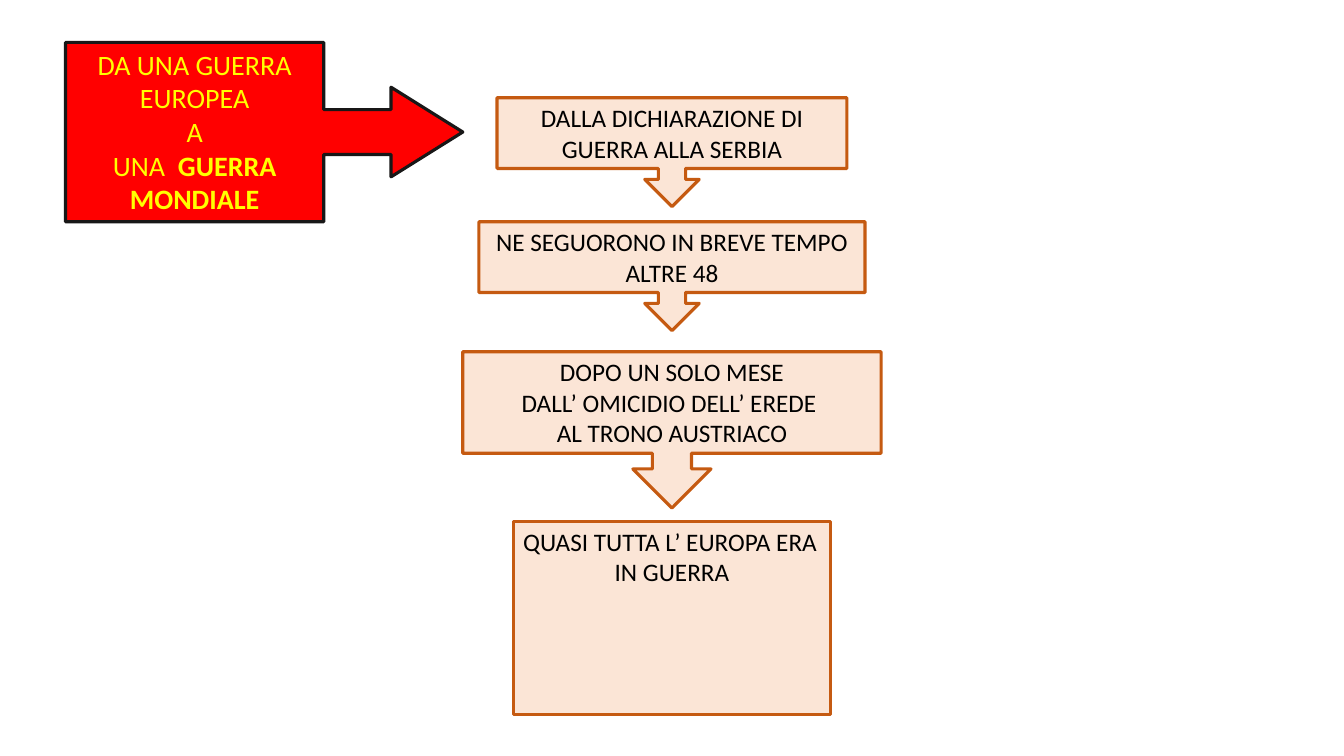
from dataclasses import dataclass

from pptx import Presentation
from pptx import util as u
from pptx.dml import color
from pptx.enum import shapes, text

COLOURS = {
    "peach": "FBE5D6",
    "rust": "C55A11",
    "black": "000000",
    "red": "FF0000",
    "charcoal": "181717",
    "yellow": "FFFF00",
}
SLIDE_WIDTH = u.Inches(13.33)
SLIDE_HEIGHT = u.Inches(7.5)
FONT = "Calibri"
CENTER = text.PP_ALIGN.CENTER
LEFT = text.PP_ALIGN.LEFT
DOWN = shapes.MSO_SHAPE.DOWN_ARROW_CALLOUT


@dataclass(frozen=True)
class Span:
    words: str
    bold: bool = False


@dataclass(frozen=True)
class Line:
    spans: tuple[Span, ...]
    align: text.PP_ALIGN = CENTER


@dataclass(frozen=True)
class Step:
    top: float
    width: float
    height: float
    lines: tuple[Line, ...]
    kind: shapes.MSO_SHAPE = DOWN
    wrap: bool = True

    @property
    def left(self) -> float:
        return (1 - self.width) / 2


def line(words: str, align: text.PP_ALIGN = CENTER) -> Line:
    return Line((Span(words),), align)


STEPS = (
    Step(0.1293, 0.2603, 0.144, (line("DALLA DICHIARAZIONE DI GUERRA ALLA SERBIA"),)),
    Step(0.2933, 0.2873, 0.144, (line("NE SEGUORONO IN BREVE TEMPO ALTRE 48"),)),
    Step(0.4653, 0.3113, 0.2067, (
        line("DOPO UN SOLO MESE"),
        line("DALL’ OMICIDIO DELL’ EREDE "),
        line("AL TRONO AUSTRIACO"),
    )),
    Step(0.6893, 0.2363, 0.256, (
        line("QUASI TUTTA L’ EUROPA ERA", LEFT),
        line("IN GUERRA"),
    ), shapes.MSO_SHAPE.RECTANGLE, wrap=False),
)

HEADING = (
    line("DA UNA GUERRA EUROPEA"),
    line("A"),
    Line((Span("UNA  "), Span("GUERRA MONDIALE", bold=True))),
)


def paint(name: str) -> color.RGBColor:
    return color.RGBColor.from_string(COLOURS[name])


def add_box(page, kind: shapes.MSO_SHAPE, left: float, top: float,
            width: float, height: float, *, fill: str, outline: str):
    box = page.shapes.add_shape(
        kind,
        round(left * SLIDE_WIDTH), round(top * SLIDE_HEIGHT),
        round(width * SLIDE_WIDTH), round(height * SLIDE_HEIGHT),
    )
    box.shadow.inherit = False
    box.fill.solid()
    box.fill.fore_color.rgb = paint(fill)
    box.line.color.rgb = paint(outline)
    box.line.width = u.Pt(2.25)
    return box


def write(box, lines: tuple[Line, ...], *, size: int, ink: str,
          wrap: bool = True) -> None:
    frame = box.text_frame
    frame.word_wrap = wrap
    frame.vertical_anchor = text.MSO_ANCHOR.TOP
    for index, entry in enumerate(lines):
        para = frame.add_paragraph() if index else frame.paragraphs[0]
        para.alignment = entry.align
        for part in entry.spans:
            span = para.add_run()
            span.text = part.words
            span.font.name = FONT
            span.font.size = u.Pt(size)
            span.font.bold = part.bold
            span.font.color.rgb = paint(ink)


def add_step(page, step: Step) -> None:
    box = add_box(page, step.kind, step.left, step.top, step.width, step.height,
                  fill="peach", outline="rust")
    write(box, step.lines, size=18, ink="black", wrap=step.wrap)


def add_heading(page) -> None:
    box = add_box(page, shapes.MSO_SHAPE.RIGHT_ARROW_CALLOUT,
                  0.0488, 0.056, 0.2956, 0.2373, fill="red", outline="charcoal")
    for index, share in enumerate((0.25, 0.25, 0.4, 0.65)):
        box.adjustments[index] = share
    write(box, HEADING, size=20, ink="yellow")


def main() -> None:
    deck = Presentation()
    deck.slide_width = SLIDE_WIDTH
    deck.slide_height = SLIDE_HEIGHT
    page = deck.slides.add_slide(deck.slide_layouts.get_by_name("Blank"))
    for step in STEPS:
        add_step(page, step)
    add_heading(page)
    deck.save("out.pptx")


if __name__ == "__main__":
    main()
